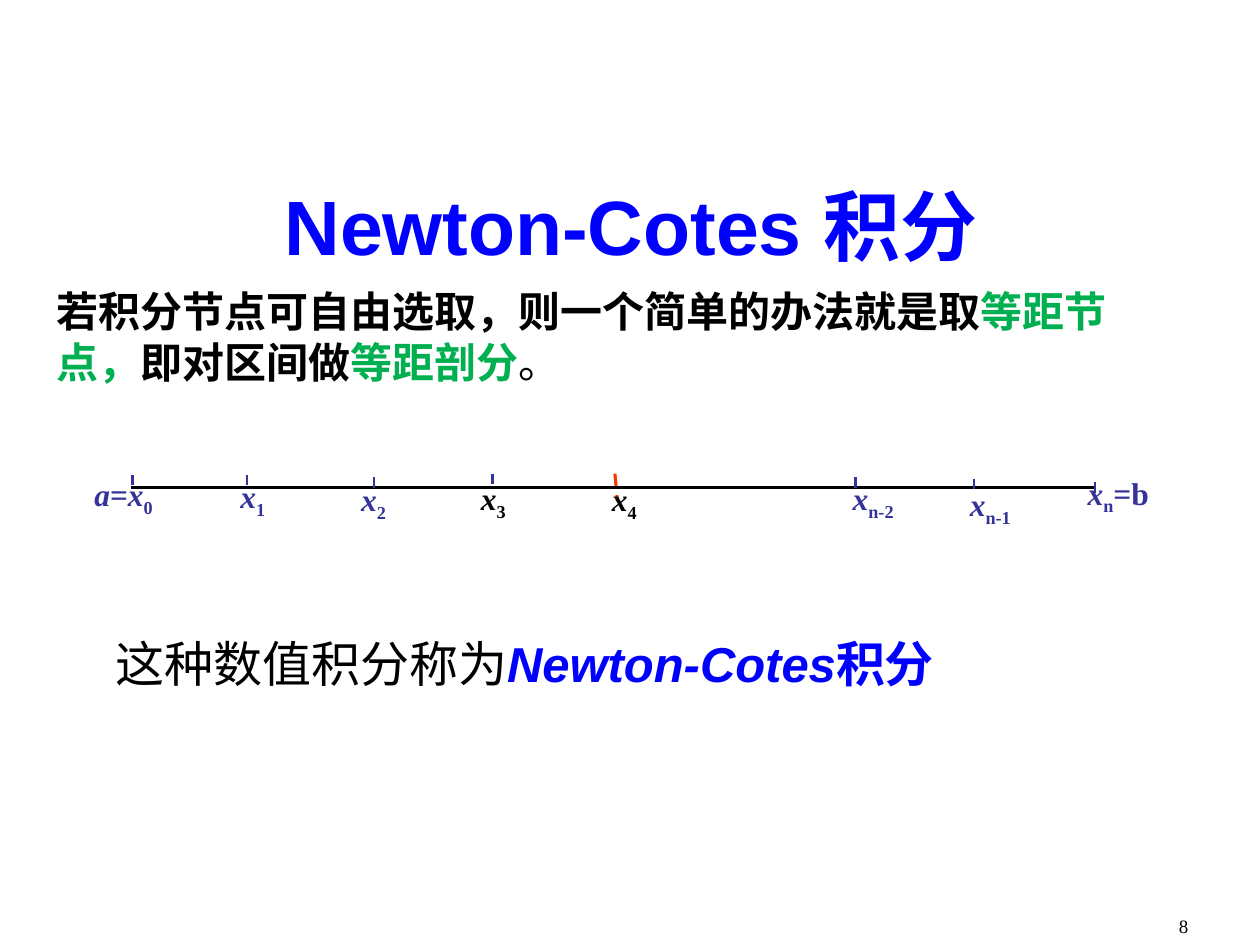
from dataclasses import dataclass

from lxml.etree import SubElement
from pptx import Presentation
from pptx.dml.color import RGBColor
from pptx.enum.dml import MSO_LINE
from pptx.enum.shapes import MSO_CONNECTOR
from pptx.enum.text import MSO_ANCHOR, MSO_AUTO_SIZE, PP_ALIGN
from pptx.oxml.ns import qn
from pptx.util import Pt


@dataclass(frozen=True)
class Theme:
    black: str = "000000"
    blue: str = "0000FF"
    green: str = "00B050"
    indigo: str = "333399"
    red: str = "FF3300"
    sans: str = "Arial"
    serif: str = "Times New Roman"
    title_size: float = 44
    body_size: float = 24
    closing_size: float = 28
    label_size: float = 18
    number_size: float = 10.8


theme = Theme()


def write_text(shape, box, runs, font_name, size, align=PP_ALIGN.LEFT, wrap=True, grow=True):
    shape.left, shape.top, shape.width, shape.height = map(Pt, box)
    frame = shape.text_frame
    frame.word_wrap = wrap
    frame.auto_size = MSO_AUTO_SIZE.SHAPE_TO_FIT_TEXT if grow else MSO_AUTO_SIZE.NONE
    paragraph = frame.paragraphs[0]
    paragraph.alignment = align
    paragraph.font.name = font_name
    paragraph.font.size = Pt(size)
    paragraph._element.get_or_add_pPr().set("hangingPunct", "0")
    for text, color, style in runs:
        run = paragraph.add_run()
        run.text = text
        run.font.color.rgb = RGBColor.from_string(color)
        run.font.bold = "b" in style
        run.font.italic = "i" in style
        if "s" in style:
            run.font._element.set("baseline", "-25000")


def draw_line(shapes, start, end, color, width, dash=None):
    line = shapes.add_connector(MSO_CONNECTOR.STRAIGHT, *map(Pt, start + end))
    line.line.color.rgb = RGBColor.from_string(color)
    line.line.width = Pt(width)
    if dash:
        line.line.dash_style = dash
    SubElement(line._element.spPr, qn("a:effectLst"))


presentation = Presentation()
presentation.slide_width = Pt(720)
presentation.slide_height = Pt(540)
slide = presentation.slides.add_slide(presentation.slide_layouts[5])
shapes = slide.shapes

title_runs = [("Newton-Cotes 积分", theme.blue, "b")]
write_text(shapes.title, (36.7, 94.3, 648, 67.7), title_runs,
           theme.sans, theme.title_size, PP_ALIGN.CENTER, grow=False)
shapes.title.text_frame.vertical_anchor = MSO_ANCHOR.MIDDLE

body_runs = [
    ("若积分节点可自由选取，则一个简单的办法就是取", theme.black, "b"),
    ("等距节点，", theme.green, "b"),
    ("即对区间做", theme.black, "b"),
    ("等距剖分", theme.green, "b"),
    ("。", theme.black, ""),
]
write_text(shapes.add_textbox(0, 0, 0, 0), (25.2, 159.8, 650.2, 64.8), body_runs,
           theme.sans, theme.body_size)

closing_runs = [
    ("这种数值积分称为", theme.black, ""),
    ("Newton-Cotes", theme.blue, "bi"),
    ("积分", theme.blue, "b"),
]
write_text(shapes.add_textbox(0, 0, 0, 0), (59, 358.6, 495.4, 41), closing_runs,
           theme.sans, theme.closing_size, wrap=False)

number_runs = [("8", theme.black, "")]
write_text(shapes.add_textbox(0, 0, 0, 0), (518.4, 519.1, 167.8, 20.9), number_runs,
           theme.serif, theme.number_size, PP_ALIGN.RIGHT, grow=False)

axis = shapes.add_group_shape().shapes
draw_line(axis, (74.9, 278.6), (626.4, 278.6), theme.black, 1.5)

ticks = [
    ((75.6, 277.2), (75.6, 270.7), theme.indigo, 1.5),
    ((141.1, 277.2), (141.1, 269.3), theme.indigo, 1.5),
    ((213.8, 278.6), (213.8, 268.6), theme.indigo, 1.5),
    ((281.5, 270.7), (281.5, 280.1), theme.indigo, 1.5),
    ((351.4, 270.7), (352.8, 286.6), theme.red, 1.75),
    ((488.9, 278.6), (488.9, 269.3), theme.indigo, 1.5),
    ((556.6, 273.6), (556.6, 281.5), theme.indigo, 1.5),
    ((625.7, 281.5), (625.7, 272.2), theme.indigo, 1.5),
]
for start, end, color, width in ticks:
    draw_line(axis, start, end, color, width, MSO_LINE.DASH)

labels = [
    (42.5, 267.8, 56.2, "a=x", "0", "", theme.indigo),
    (128.2, 269.3, 32.4, "x", "1", "", theme.indigo),
    (197.3, 270.7, 32.4, "x", "2", "", theme.indigo),
    (257, 270, 49.7, "x", "3", "", theme.black),
    (331.9, 270.7, 49.7, "x", "4", "", theme.black),
    (471.6, 270, 54.7, "x", "n-2", "", theme.indigo),
    (543.6, 273.6, 44.6, "x", "n-1", "", theme.indigo),
    (609.1, 267.1, 59.8, "x", "n", "=b", theme.indigo),
]
for left, top, width, name, index, suffix, color in labels:
    runs = [(name, color, "bi"), (index, color, "bs")]
    if suffix:
        runs.append((suffix, color, "b"))
    write_text(axis.add_textbox(0, 0, 0, 0), (left, top, width, 31.7), runs,
               theme.serif, theme.label_size, PP_ALIGN.CENTER)

presentation.save("out.pptx")
